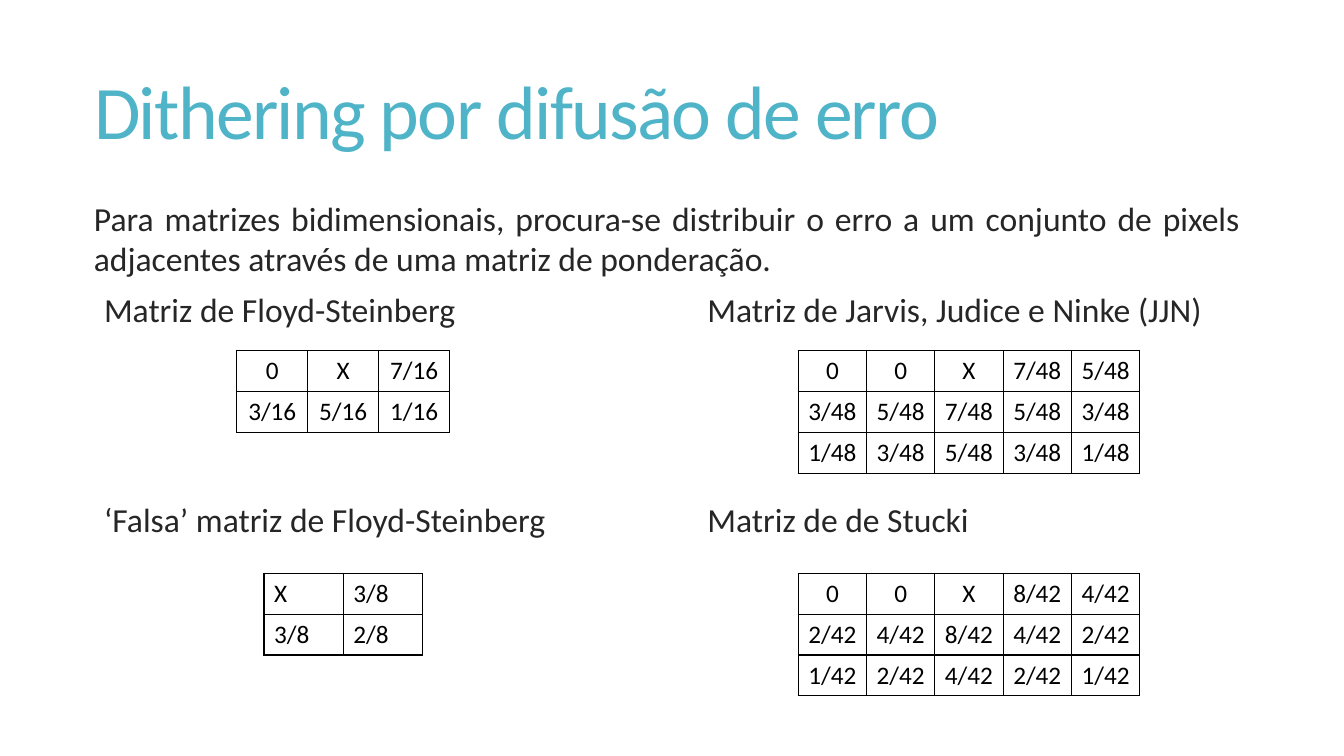
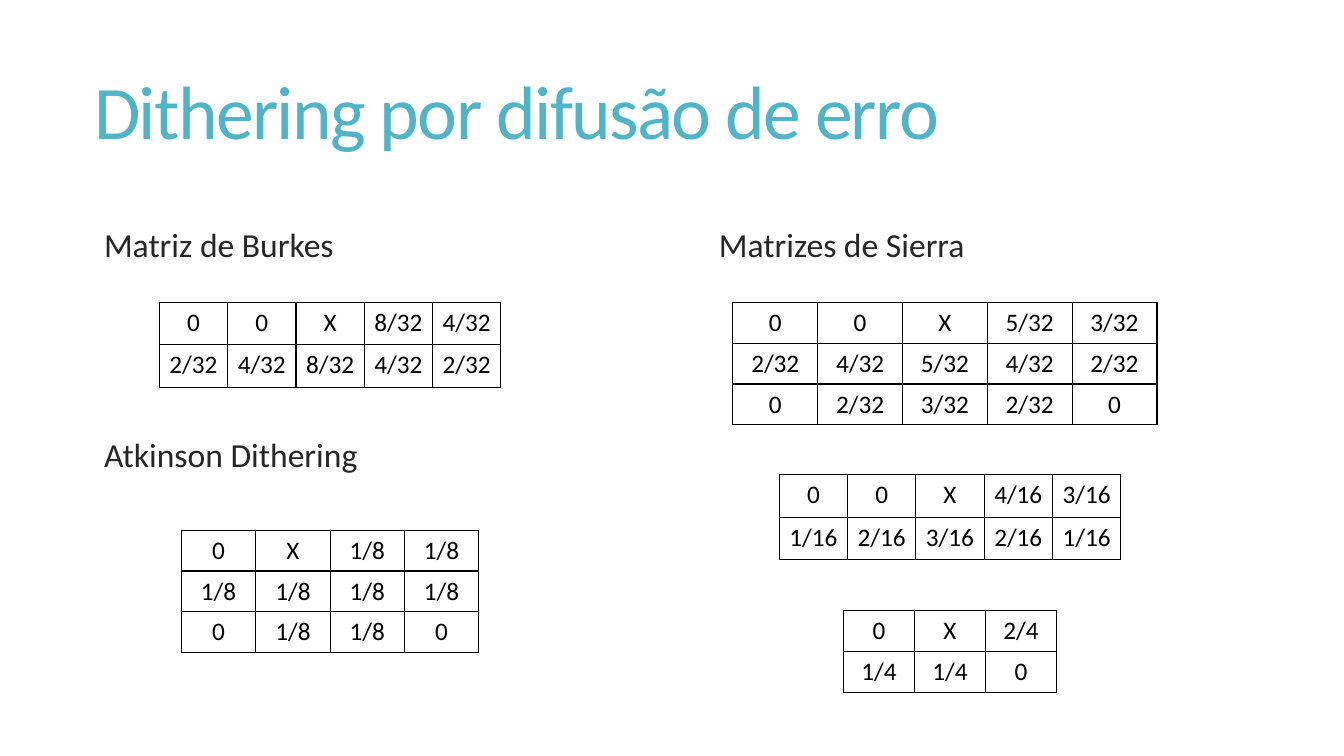
from dataclasses import dataclass

from lxml import etree
from pptx import Presentation
from pptx.dml.color import RGBColor
from pptx.enum.text import MSO_ANCHOR, MSO_AUTO_SIZE, PP_ALIGN
from pptx.oxml.ns import qn
from pptx.slide import Slide
from pptx.text.text import TextFrame
from pptx.util import Pt

LEFT, CENTER, JUSTIFY = PP_ALIGN.LEFT, PP_ALIGN.CENTER, PP_ALIGN.JUSTIFY
MIDDLE = MSO_ANCHOR.MIDDLE
NO_AUTOFIT = MSO_AUTO_SIZE.NONE

TEAL = RGBColor(0x50, 0xB4, 0xC8)
CHARCOAL = RGBColor(0x26, 0x26, 0x26)
BLACK = RGBColor(0x00, 0x00, 0x00)

FONT = "Calibri"
TITLE = "Dithering por difusão de erro"
INTRO = (
    "Para matrizes bidimensionais, procura-se distribuir o erro a um conjunto "
    "de pixels adjacentes através de uma matriz de ponderação."
)
MARGIN, CONTENT_WIDTH = 60, 833
HEADING_WIDTH, HEADING_HEIGHT, HEADING_STEP = 395, 32, 150
LEFT_HEADING = 67.2
BORDER_SIDES = ("a:lnL", "a:lnR", "a:lnT", "a:lnB")


@dataclass(frozen=True)
class Heading:
    text: str
    left: float
    top: float


@dataclass(frozen=True)
class Matrix:
    weights: str
    center: float
    top: float
    column_width: float = 48.8
    row_height: float = 29.16
    align: PP_ALIGN = CENTER


@dataclass(frozen=True)
class Page:
    headings: tuple[Heading, ...]
    matrices: tuple[Matrix, ...]
    intro: str = ""


FIRST_TOP, SECOND_TOP = 207.4, 160.6
PAGES = (
    Page(
        headings=(
            Heading("Matriz de Floyd-Steinberg", LEFT_HEADING, FIRST_TOP),
            Heading("‘Falsa’ matriz de Floyd-Steinberg", LEFT_HEADING, FIRST_TOP + HEADING_STEP),
            Heading("Matriz de Jarvis, Judice e Ninke (JJN)", 498.2, FIRST_TOP),
            Heading("Matriz de de Stucki", 498.2, FIRST_TOP + HEADING_STEP),
        ),
        matrices=(
            Matrix("0 X 7/16 | 3/16 5/16 1/16", 245.2, 250.6, 50.7),
            Matrix("X 3/8 | 3/8 2/8", 245.2, 409.6, 56.6, align=LEFT),
            Matrix("0 0 X 7/48 5/48 | 3/48 5/48 7/48 5/48 3/48 | 1/48 3/48 5/48 3/48 1/48", 692.2, 250.6),
            Matrix("0 0 X 8/42 4/42 | 2/42 4/42 8/42 4/42 2/42 | 1/42 2/42 4/42 2/42 1/42", 692.2, 409.6),
        ),
        intro=INTRO,
    ),
    Page(
        headings=(
            Heading("Matriz de Burkes", LEFT_HEADING, SECOND_TOP),
            Heading("Atkinson Dithering", LEFT_HEADING, SECOND_TOP + HEADING_STEP),
            Heading("Matrizes de Sierra", 506.4, SECOND_TOP),
        ),
        matrices=(
            Matrix("0 0 X 8/32 4/32 | 2/32 4/32 8/32 4/32 2/32", 235.8, 216, row_height=30.3),
            Matrix("0 X 1/8 1/8 | 1/8 1/8 1/8 1/8 | 0 1/8 1/8 0", 235.8, 378.7, 53.1),
            Matrix("0 0 X 5/32 3/32 | 2/32 4/32 5/32 4/32 2/32 | 0 2/32 3/32 2/32 0", 675, 216, 60.6),
            Matrix("0 0 X 4/16 3/16 | 1/16 2/16 3/16 2/16 1/16", 678.6, 339.2, row_height=30.3),
            Matrix("0 X 2/4 | 1/4 1/4 0", 678.6, 436.3, 50.7),
        ),
    ),
)


def write_text(
    frame: TextFrame,
    text: str,
    *,
    size: float = 24,
    color: RGBColor = CHARCOAL,
    align: PP_ALIGN = LEFT,
    line_spacing: float = 1.0,
    tracking: float = 0,
) -> None:
    frame.word_wrap = True
    paragraph = frame.paragraphs[0]
    paragraph.alignment = align
    paragraph.line_spacing = line_spacing
    run = paragraph.add_run()
    run.text = text
    run.font.name = FONT
    run.font.size = Pt(size)
    run.font.color.rgb = color
    if tracking:
        run._r.get_or_add_rPr().set("spc", str(round(tracking * 100)))


def format_title(slide: Slide) -> None:
    title = slide.shapes.title
    title.left, title.top = Pt(MARGIN), Pt(57)
    title.width, title.height = Pt(CONTENT_WIDTH), Pt(52.6)
    frame = title.text_frame
    frame.auto_size = NO_AUTOFIT
    frame.vertical_anchor = MIDDLE
    write_text(frame, TITLE, size=54, color=TEAL, line_spacing=0.85, tracking=-1.2)


def add_heading(slide: Slide, heading: Heading) -> None:
    box = slide.shapes.add_textbox(
        Pt(heading.left), Pt(heading.top), Pt(HEADING_WIDTH), Pt(HEADING_HEIGHT)
    )
    write_text(box.text_frame, heading.text, line_spacing=0.85)


def add_intro(slide: Slide, text: str) -> None:
    box = slide.shapes.add_textbox(Pt(MARGIN), Pt(137.5), Pt(CONTENT_WIDTH), Pt(66))
    write_text(box.text_frame, text, align=JUSTIFY)


def add_borders(cell_properties: etree._Element) -> None:
    for side in BORDER_SIDES:
        line = etree.SubElement(cell_properties, qn(side), w=str(Pt(1)))
        fill = etree.SubElement(line, qn("a:solidFill"))
        etree.SubElement(fill, qn("a:srgbClr"), val=str(BLACK))


def add_matrix(slide: Slide, matrix: Matrix) -> None:
    rows = [row.split() for row in matrix.weights.split("|")]
    width = matrix.column_width * len(rows[0])
    table = slide.shapes.add_table(
        len(rows),
        len(rows[0]),
        Pt(matrix.center - width / 2),
        Pt(matrix.top),
        Pt(width),
        Pt(matrix.row_height * len(rows)),
    ).table
    table.first_row = False
    table.horz_banding = False
    for column in table.columns:
        column.width = Pt(matrix.column_width)
    for row, weights in zip(table.rows, rows):
        row.height = Pt(matrix.row_height)
        for cell, weight in zip(row.cells, weights):
            if matrix.align == CENTER:
                cell.margin_left = cell.margin_right = Pt(3.6)
            add_borders(cell._tc.get_or_add_tcPr())
            cell.fill.background()
            write_text(cell.text_frame, weight, size=18, color=BLACK, align=matrix.align)


def main() -> None:
    deck = Presentation()
    deck.slide_width, deck.slide_height = Pt(960), Pt(540)
    title_only = deck.slide_layouts.get_by_name("Title Only")
    for page in PAGES:
        slide = deck.slides.add_slide(title_only)
        format_title(slide)
        if page.intro:
            add_intro(slide, page.intro)
        for heading in page.headings:
            add_heading(slide, heading)
        for matrix in page.matrices:
            add_matrix(slide, matrix)
    deck.save("out.pptx")


if __name__ == "__main__":
    main()
